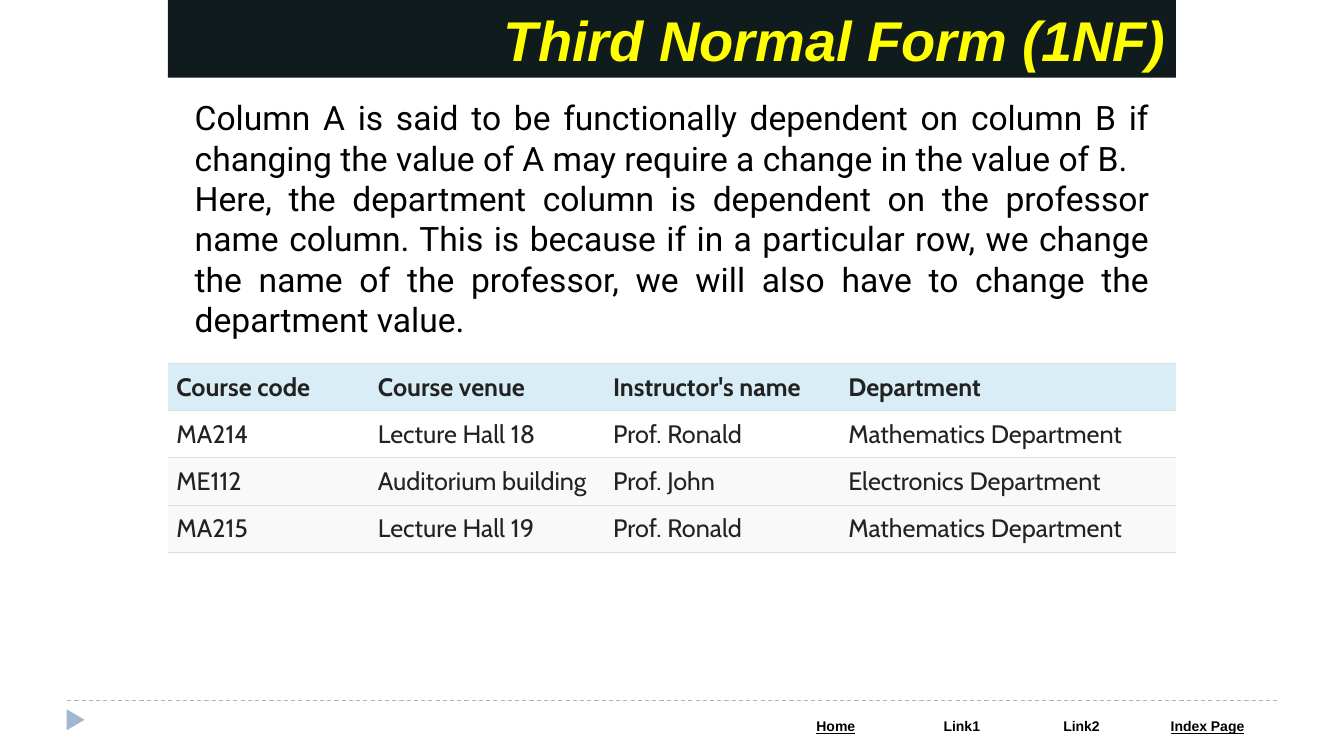
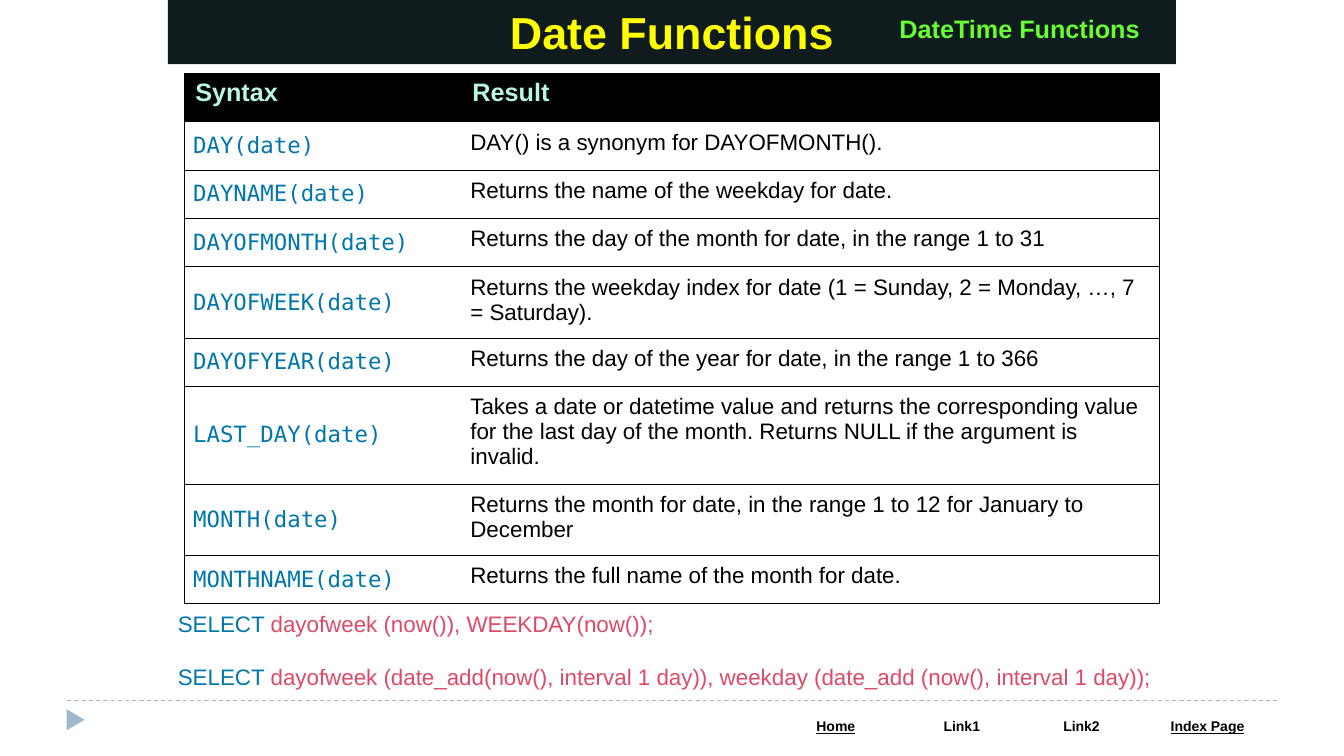
import pptx
import pptx.util
import pptx.dml.color
import pptx.enum.dml
import pptx.enum.shapes
import pptx.enum.text
import pptx.oxml
import pptx.oxml.ns
from lxml import etree

PX = 9525
ALIGN = pptx.enum.text.PP_ALIGN
ANCHOR = pptx.enum.text.MSO_ANCHOR
SHAPE = pptx.enum.shapes.MSO_SHAPE

COLORS = {
    "white": "FFFFFF", "black": "000000", "band": "101B1D", "yellow": "FFFF00",
    "green": "66FF33", "accent": "9FB8CD", "mint": "B7F7E2", "keyword": "0077AA",
    "code": "DD4A68", "ink": "222222", "rule": "DDDDDD", "header": "D9EDF7",
    "stripe": "F9F9F9",
}

BAND_LEFT, BAND_WIDTH = 160, 960
CELL_INSETS = (8, 8, 8, 8)
HEADER_INSETS = (10, 5, 10, 5)
FOOTER_INSETS = (12, 5, 12, 5)

TITLE = {"name": "Arial", "bold": True, "color": "yellow"}
BADGE = {"name": "Arial", "size": 18, "bold": True, "color": "green"}
BODY = {"name": "Roboto", "size": 24, "color": "black"}
FOOTER = {"name": "Arial", "size": 10, "bold": True, "color": "black"}
COURSE = {"name": "Cabin", "size": 18, "bold": False, "color": "ink"}
COURSE_HEAD = COURSE | {"bold": True}
FUNCTION_HEAD = {"name": "Arial", "size": 18, "bold": True, "color": "mint"}
RESULT = {"name": "Arial", "size": 16, "bold": False, "color": "black"}
SYNTAX = RESULT | {"name": "DejaVu Sans Mono", "color": "keyword"}
KEYWORD = {"name": "Arial", "size": 16, "color": "keyword"}
CODE = KEYWORD | {"color": "code"}

FOOTER_LINKS = [("Home", 120, True), ("Link1", 120, False),
                ("Link2", 108, False), ("Index Page", 132, True)]

DEPENDENCY_TEXT = [
    "Column A is said to be functionally dependent on column B if changing the value of A may require a change in the value of B.",
    "Here, the department column is dependent on the professor name column. This is because if in a particular row, we change the name of the professor, we will also have to change the department value.",
]

COURSE_COLUMNS = [192, 224, 224, 320]
COURSE_ROWS = [
    ("Course code", "Course venue", "Instructor's name", "Department"),
    ("MA214", "Lecture Hall 18", "Prof. Ronald", "Mathematics Department"),
    ("ME112", "Auditorium building", "Prof. John", "Electronics Department"),
    ("MA215", "Lecture Hall 19", "Prof. Ronald", "Mathematics Department"),
]
COURSE_FILLS = ["header", "white", "stripe", "stripe"]

FUNCTION_COLUMNS = [264, 664]
LINE_HEIGHTS = {1: 46, 2: 68, 3: 93}
FUNCTION_ROWS = [
    ("Syntax", "Result", 1),
    ("DAY(date)", "DAY() is a synonym for DAYOFMONTH().", 1),
    ("DAYNAME(date)", "Returns the name of the weekday for date.", 1),
    ("DAYOFMONTH(date)", "Returns the day of the month for date, in the range 1 to 31", 1),
    ("DAYOFWEEK(date)", "Returns the weekday index for date (1 = Sunday, 2 = Monday, …, 7 = Saturday).", 2),
    ("DAYOFYEAR(date)", "Returns the day of the year for date, in the range 1 to 366", 1),
    ("LAST_DAY(date)", "Takes a date or datetime value and returns the corresponding value for the last day of the month. Returns NULL if the argument is invalid.", 3),
    ("MONTH(date)", "Returns the month for date, in the range 1 to 12 for January to December", 2),
    ("MONTHNAME(date)", "Returns the full name of the month for date.", 1),
]

QUERIES = [
    "dayofweek (now()), WEEKDAY(now());",
    "dayofweek (date_add(now(), interval 1 day)), weekday (date_add (now(), interval 1 day));",
]


def px(*lengths):
    return [length * PX for length in lengths]


def rgb(color):
    return pptx.dml.color.RGBColor.from_string(COLORS[color])


def paint(target, color):
    target.fill.solid()
    target.fill.fore_color.rgb = rgb(color)


def write(frame, paragraphs, align=ALIGN.LEFT, gap=0):
    for index, spans in enumerate(paragraphs):
        para = frame.add_paragraph() if index else frame.paragraphs[0]
        para.alignment = align
        if index and gap:
            para.space_before = pptx.util.Pt(gap)
        for text, style in spans:
            span = para.add_run()
            span.text = text
            for key, value in style.items():
                if key == "color":
                    span.font.color.rgb = rgb(value)
                else:
                    setattr(span.font, key, pptx.util.Pt(value) if key == "size" else value)


def add_text(page, place, paragraphs, wrap=True, **layout):
    frame = page.shapes.add_textbox(*px(*place)).text_frame
    frame.word_wrap = wrap
    write(frame, paragraphs, **layout)


def add_table(page, left, top, widths, heights):
    table = page.shapes.add_table(len(heights), len(widths),
                                  *px(left, top, sum(widths), sum(heights))).table
    table.first_row = table.horz_banding = False
    for column, width in zip(table.columns, widths):
        column.width = width * PX
    for row, height in zip(table.rows, heights):
        row.height = height * PX
    return table


def fill_cell(cell, text, style, fill, insets, edges="", edge_color="black",
              align=ALIGN.LEFT, anchor=ANCHOR.TOP):
    sides = ("margin_left", "margin_top", "margin_right", "margin_bottom")
    for side, inset in zip(sides, insets):
        setattr(cell, side, inset * PX)
    cell.vertical_anchor = anchor
    write(cell.text_frame, [[(text, style)]], align)
    qn = pptx.oxml.ns.qn
    properties = cell._tc.get_or_add_tcPr()
    for side in "LRTB":
        line = etree.SubElement(properties, qn("a:ln" + side), w=str(PX))
        if side in edges:
            solid = etree.SubElement(line, qn("a:solidFill"))
            etree.SubElement(solid, qn("a:srgbClr"), val=COLORS[edge_color])
        else:
            etree.SubElement(line, qn("a:noFill"))
    paint(cell, fill)


def add_footer(page):
    marker = page.shapes.add_shape(SHAPE.ISOSCELES_TRIANGLE, *px(62, 677, 20, 17))
    marker.rotation = 90
    marker.shadow.inherit = False
    paint(marker, "accent")
    marker.line.fill.background()
    rule = page.shapes.add_connector(pptx.enum.shapes.MSO_CONNECTOR.STRAIGHT,
                                     *px(64, 667, 1216, 667))
    rule.line.color.rgb = rgb("accent")
    rule.line.width = pptx.util.Pt(0.75)
    rule.line.dash_style = pptx.enum.dml.MSO_LINE.DASH
    etree.SubElement(rule._element.spPr, pptx.oxml.ns.qn("a:effectLst"))
    table = add_table(page, 736, 680, [width for _, width, _ in FOOTER_LINKS], [26])
    for cell, (text, _, underline) in zip(table.rows[0].cells, FOOTER_LINKS):
        fill_cell(cell, text, FOOTER | {"underline": underline}, "white",
                  FOOTER_INSETS, align=ALIGN.CENTER)


def add_page(deck, title, height, align, **style):
    page = deck.slides.add_slide(deck.slide_layouts[5])
    add_footer(page)
    band = page.shapes.title
    band.left, band.top, band.width, band.height = px(BAND_LEFT, 0, BAND_WIDTH, height)
    paint(band, "band")
    frame = band.text_frame
    frame.word_wrap = True
    frame.auto_size = pptx.enum.text.MSO_AUTO_SIZE.NONE
    frame.vertical_anchor = ANCHOR.TOP
    write(frame, [[(title, TITLE | style)]], align)
    return page


def add_normal_form_page(deck):
    page = add_page(deck, "Third Normal Form (1NF)", 74, ALIGN.RIGHT, size=40, italic=True)
    add_text(page, (176, 88, 928, 204), [[(text, BODY)] for text in DEPENDENCY_TEXT],
             align=ALIGN.JUSTIFY)
    table = add_table(page, BAND_LEFT, 346, COURSE_COLUMNS, [45] * len(COURSE_ROWS))
    for index, (row, texts, fill) in enumerate(zip(table.rows, COURSE_ROWS, COURSE_FILLS)):
        for cell, text in zip(row.cells, texts):
            fill_cell(cell, text, COURSE if index else COURSE_HEAD, fill, CELL_INSETS,
                      "TB", "rule", anchor=ANCHOR.TOP if index else ANCHOR.MIDDLE)


def add_date_page(deck):
    page = add_page(deck, "Date Functions", 61, ALIGN.CENTER, size=32)
    add_text(page, (845, 8, 250, 38), [[("DateTime Functions", BADGE)]],
             wrap=False, align=ALIGN.RIGHT)
    heights = [LINE_HEIGHTS[lines] for _, _, lines in FUNCTION_ROWS]
    table = add_table(page, 176, 70, FUNCTION_COLUMNS, heights)
    for index, (row, (syntax, result, _)) in enumerate(zip(table.rows, FUNCTION_ROWS)):
        fill, insets = ("white", CELL_INSETS) if index else ("black", HEADER_INSETS)
        anchor = ANCHOR.MIDDLE if index else ANCHOR.TOP
        fill_cell(row.cells[0], syntax, SYNTAX if index else FUNCTION_HEAD,
                  fill, insets, "LTB", anchor=anchor)
        fill_cell(row.cells[1], result, RESULT if index else FUNCTION_HEAD,
                  fill, insets, "RTB")
    add_text(page, (BAND_LEFT, 576, 952, 87),
             [[("SELECT ", KEYWORD), (query, CODE)] for query in QUERIES], gap=19)


def main():
    deck = pptx.Presentation()
    deck.slide_width, deck.slide_height = px(1280, 720)
    add_normal_form_page(deck)
    add_date_page(deck)
    deck.save("out.pptx")


if __name__ == "__main__":
    main()
